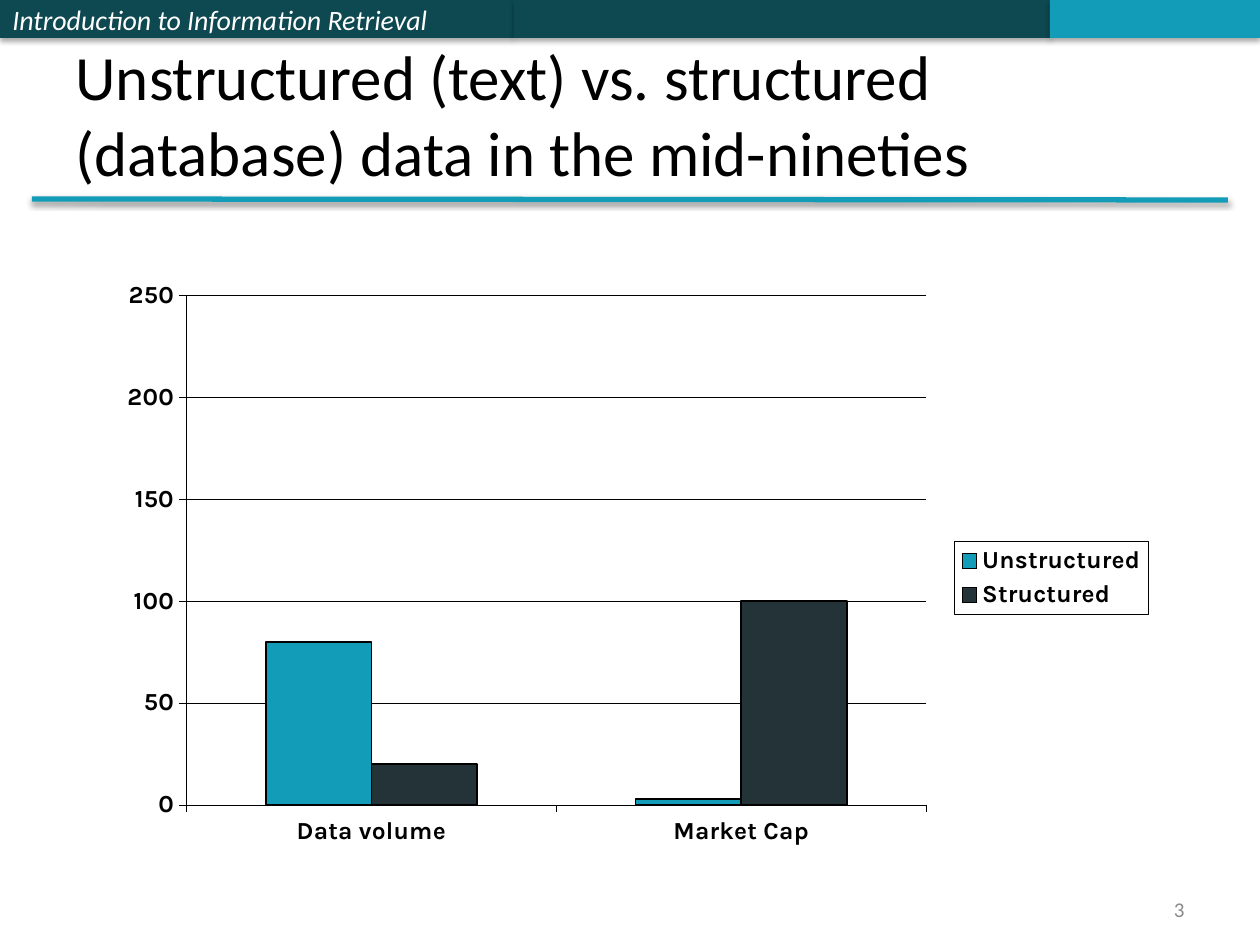
from lxml import etree
from pptx import Presentation
from pptx.chart.data import CategoryChartData
from pptx.dml.color import RGBColor
from pptx.enum.chart import XL_CHART_TYPE, XL_LEGEND_POSITION, XL_TICK_LABEL_POSITION, XL_TICK_MARK
from pptx.enum.shapes import MSO_CONNECTOR, MSO_SHAPE
from pptx.enum.text import MSO_ANCHOR, MSO_AUTO_SIZE, PP_ALIGN
from pptx.oxml import parse_xml
from pptx.oxml.ns import nsdecls, qn
from pptx.util import Emu, Pt

PX = 914400 // 126
DARK_TEAL = RGBColor(0x0E, 0x48, 0x51)
TEAL = RGBColor(0x13, 0x9C, 0xB7)
SLATE = RGBColor(0x23, 0x33, 0x37)
BLACK = RGBColor(0, 0, 0)
WHITE = RGBColor(0xFF, 0xFF, 0xFF)
GRAY = RGBColor(0x89, 0x89, 0x89)


def px(*lengths):
    return [Emu(n * PX) for n in lengths]


def set_font(font, name, size, color, bold=False, italic=False):
    font.name, font.size = name, Pt(size)
    font.bold, font.italic = bold, italic
    font.color.rgb = color


def set_line(line, color, width):
    line.color.rgb = color
    line.width = Pt(width)


def set_text(tf, text, size, color, anchor, align=PP_ALIGN.LEFT, italic=False):
    tf.text = text
    tf.word_wrap = True
    tf.auto_size = MSO_AUTO_SIZE.NONE
    tf.vertical_anchor = anchor
    p = tf.paragraphs[0]
    p.alignment = align
    set_font(p.runs[0].font, "Calibri", size, color, italic=italic)


def add_shadow(shape, alpha, distance):
    shape._element.spPr.append(parse_xml(
        f'<a:effectLst {nsdecls("a")}><a:outerShdw blurRad="40000" dist="{distance}" '
        'dir="5400000" rotWithShape="0"><a:srgbClr val="000000">'
        f'<a:alpha val="{alpha * 1000}"/></a:srgbClr></a:outerShdw></a:effectLst>'))


def add_band(s, left, right, color):
    band = s.shapes.add_shape(MSO_SHAPE.RECTANGLE, *px(left, 0, right - left, 38))
    band.fill.solid()
    band.fill.fore_color.rgb = color
    band.line.fill.background()
    add_shadow(band, 35, 23000)
    return band


def add_rule(s):
    rule = s.shapes.add_connector(MSO_CONNECTOR.STRAIGHT, *px(32, 199, 1228, 200))
    set_line(rule.line, TEAL, 3)
    add_shadow(rule, 38, 20000)


def add_title(s, text):
    title = s.shapes.title
    title.left, title.top, title.width, title.height = px(63, 38, 1134, 157)
    set_text(title.text_frame, text, 36, BLACK, MSO_ANCHOR.BOTTOM)


def add_page_number(s, text):
    box = s.shapes.add_textbox(*px(903, 892, 294, 34))
    set_text(box.text_frame, text, 12, GRAY, MSO_ANCHOR.MIDDLE, PP_ALIGN.RIGHT)


def set_plot_layout(chart, x, y, w, h):
    plot_area = chart._chartSpace.find(".//" + qn("c:plotArea"))
    for old in plot_area.findall(qn("c:layout")):
        plot_area.remove(old)
    layout = etree.Element(qn("c:layout"))
    manual = etree.SubElement(layout, qn("c:manualLayout"))
    values = dict(layoutTarget="inner", xMode="edge", yMode="edge", x=x, y=y, w=w, h=h)
    for tag, value in values.items():
        etree.SubElement(manual, qn("c:" + tag)).set("val", str(value))
    plot_area.insert(0, layout)


def add_legend(chart):
    chart.has_legend = True
    legend = chart.legend
    legend.position = XL_LEGEND_POSITION.RIGHT
    legend.include_in_layout = False
    set_font(legend.font, "Karla", 14, BLACK, bold=True)
    legend._element.find(qn("c:overlay")).addnext(parse_xml(
        f'<c:spPr {nsdecls("c", "a")}><a:solidFill><a:srgbClr val="{WHITE}"/></a:solidFill>'
        f'<a:ln w="2921"><a:solidFill><a:srgbClr val="{BLACK}"/></a:solidFill></a:ln></c:spPr>'))


def add_column_chart(s, categories, series):
    data = CategoryChartData()
    data.categories = categories
    for name, values, color in series:
        data.add_series(name, values)
    chart = s.shapes.add_chart(
        XL_CHART_TYPE.COLUMN_CLUSTERED, *px(102, 271, 1057, 614), data).chart
    chart.has_title = False
    set_font(chart.font, "Karla", 14, BLACK, bold=True)
    plot = chart.plots[0]
    plot.gap_width, plot.overlap, plot.vary_by_categories = 150, 0, False
    for ser, (name, values, color) in zip(plot.series, series):
        ser.format.fill.solid()
        ser.format.fill.fore_color.rgb = color
        set_line(ser.format.line, BLACK, 0.92)
    for axis in (chart.category_axis, chart.value_axis):
        axis.major_tick_mark = XL_TICK_MARK.OUTSIDE
        axis.minor_tick_mark = XL_TICK_MARK.NONE
        set_font(axis.tick_labels.font, "Karla", 14, BLACK, bold=True)
        set_line(axis.format.line, BLACK, 0.23)
    chart.category_axis.tick_label_position = XL_TICK_LABEL_POSITION.LOW
    axis = chart.value_axis
    axis.minimum_scale, axis.maximum_scale, axis.major_unit = 0, 250, 50
    axis.has_major_gridlines = True
    set_line(axis.major_gridlines.format.line, BLACK, 0.23)
    add_legend(chart)
    set_plot_layout(chart, 0.08, 0.04, 0.7, 0.83)


def main():
    prs = Presentation()
    prs.slide_width, prs.slide_height = px(1260, 945)
    s = prs.slides.add_slide(prs.slide_layouts[5])
    header = add_band(s, 0, 514, DARK_TEAL)
    set_text(header.text_frame, "Introduction to Information Retrieval", 16, WHITE,
             MSO_ANCHOR.MIDDLE, italic=True)
    add_band(s, 514, 1050, DARK_TEAL)
    add_band(s, 1050, 1260, TEAL)
    add_rule(s)
    add_title(s, "Unstructured (text) vs. structured (database) data in the mid-nineties")
    add_page_number(s, "3")
    add_column_chart(s, ["Data volume", "Market Cap"],
                     [("Unstructured", (80, 3), TEAL), ("Structured", (20, 100), SLATE)])
    prs.save("out.pptx")


main()
